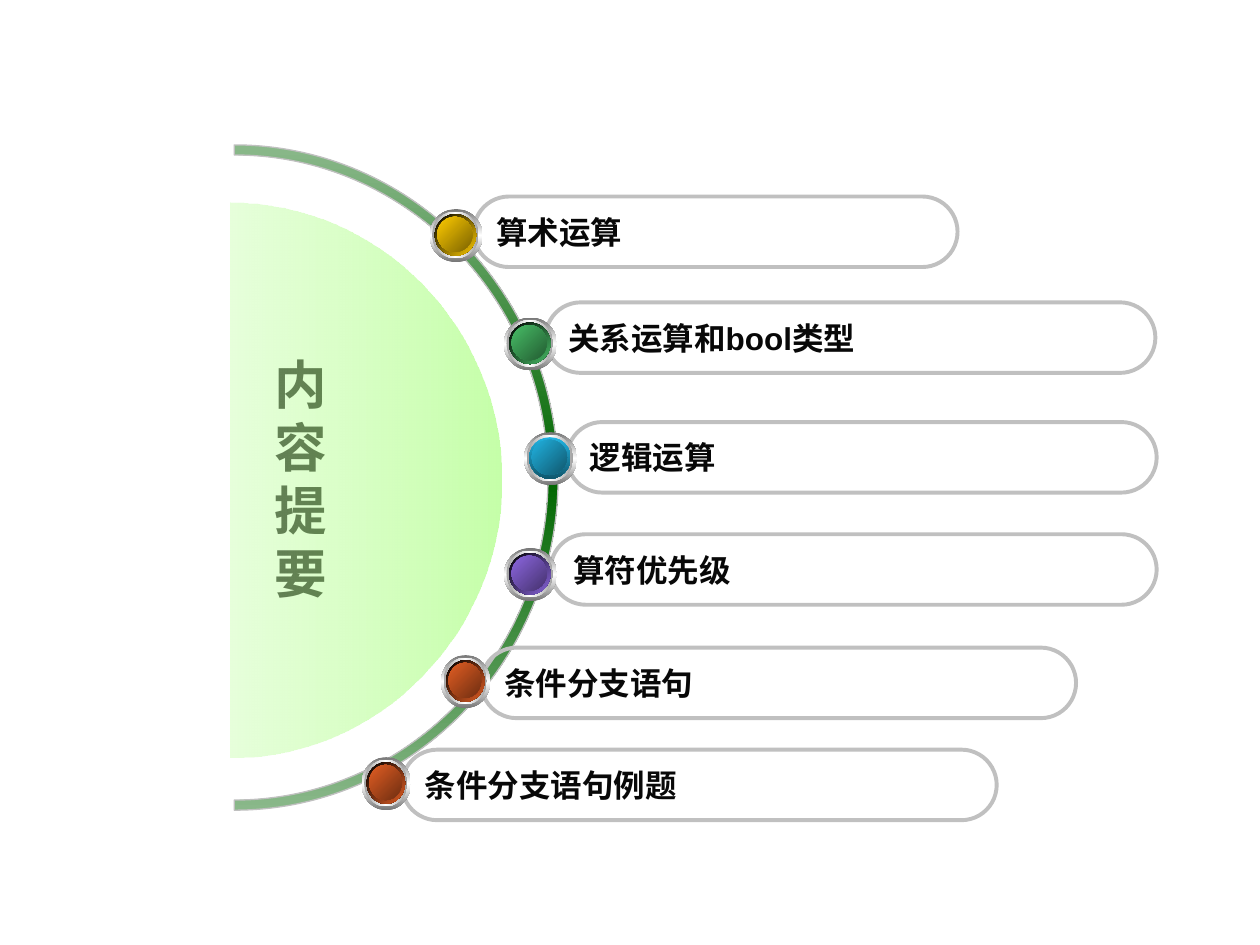
from lxml.etree import SubElement
from pptx import Presentation
from pptx.dml.color import RGBColor
from pptx.enum.shapes import MSO_SHAPE as Shape
from pptx.enum.text import MSO_ANCHOR as Anchor, PP_ALIGN as Align
from pptx.oxml.ns import qn
from pptx.util import Inches, Pt

INK = RGBColor(0x08, 0x08, 0x08)
SILVER = RGBColor(0xC0, 0xC0, 0xC0)
BLACK = RGBColor(0x00, 0x00, 0x00)
WHITE = RGBColor(0xFF, 0xFF, 0xFF)
STEEL = RGBColor(0x76, 0x76, 0x76)
GREY = RGBColor(0xA2, 0xA2, 0xA2)
SAGE = RGBColor(0x8A, 0xB8, 0x8A)
FOREST = RGBColor(0x00, 0x66, 0x00)
MINT = RGBColor(0xCC, 0xFF, 0xB3)
LIME = RGBColor(0x99, 0xFF, 0x66)
YELLOW, DARK_YELLOW = RGBColor(0xFF, 0xCC, 0x00), RGBColor(0x7C, 0x63, 0x00)
GREEN, DARK_GREEN = RGBColor(0x48, 0xBE, 0x67), RGBColor(0x23, 0x5C, 0x32)
CYAN, DARK_CYAN = RGBColor(0x21, 0xB3, 0xE1), RGBColor(0x10, 0x57, 0x6D)
PURPLE, DARK_PURPLE = RGBColor(0x8D, 0x67, 0xE1), RGBColor(0x45, 0x32, 0x6D)
ORANGE, DARK_ORANGE = RGBColor(0xE3, 0x5E, 0x23), RGBColor(0x6E, 0x2E, 0x11)

HEADING = "内容提要"
# Topic, pill (left, top, width), ball (left, top, width), ball colours, rim (colours, angle)
TOPICS = [
    ("算术运算", (3.76, 1.56, 3.84), (3.41, 1.66, 0.42),
     (YELLOW, DARK_YELLOW), ((BLACK, YELLOW), 45)),
    ("关系运算和bool类型", (4.33, 2.4, 4.84), (4, 2.52, 0.42),
     (GREEN, DARK_GREEN), ((BLACK, GREEN), 45)),
    ("逻辑运算", (4.5, 3.35, 4.68), (4.16, 3.43, 0.42),
     (CYAN, DARK_CYAN), ((CYAN, DARK_CYAN), 90)),
    ("算符优先级", (4.37, 4.24, 4.81), (4, 4.35, 0.42),
     (PURPLE, DARK_PURPLE), ((BLACK, PURPLE), 45)),
    ("条件分支语句", (3.82, 5.14, 4.72), (3.5, 5.2, 0.39),
     (ORANGE, DARK_ORANGE), ((BLACK, ORANGE), 45)),
    ("条件分支语句例题", (3.19, 5.95, 4.72), (2.87, 6.01, 0.39),
     (ORANGE, DARK_ORANGE), ((BLACK, ORANGE), 45)),
]
PILL_HEIGHT = 0.56
BALL_HEIGHT = 0.42
BEND = 0.55  # Bezier handle of a quarter ellipse, as a share of its radius


def set_gradient(shape, colors, angle, alphas=None):
    """Spread the colours evenly; the angle runs clockwise, alphas are percents."""
    shape.fill.gradient()
    grad = shape._element.spPr.find(qn("a:gradFill"))
    for child in list(grad):
        grad.remove(child)
    stops = SubElement(grad, qn("a:gsLst"))
    for i, color in enumerate(colors):
        stop = SubElement(stops, qn("a:gs"), pos=str(100000 * i // (len(colors) - 1)))
        rgb = SubElement(stop, qn("a:srgbClr"), val=str(color))
        if alphas:
            SubElement(rgb, qn("a:alpha"), val=str(alphas[i] * 1000))
    SubElement(grad, qn("a:lin"), ang=str(angle * 60000), scaled="0")


def half_ellipse(cx, cy, rx, ry):
    """Start, then two curves of three points each, down the right half."""
    units = [(0, -1), (BEND, -1), (1, -BEND), (1, 0), (1, BEND), (BEND, 1), (0, 1)]
    return [(cx + rx * x, cy + ry * y) for x, y in units]


def add_outline(*arcs):
    """Join arcs of seven points by straight lines and close the outline."""
    points = [(Inches(x), Inches(y)) for arc in arcs for x, y in arc]
    builder = slide.shapes.build_freeform(*points[0])
    builder.add_line_segments(points[1:], close=True)
    outline = builder.convert_to_shape()
    outline.shadow.inherit = False
    # Turn every three points after an arc's start into one curve
    corners = list(outline._element.iter(qn("a:pt")))
    for start in range(0, len(corners), 7):
        for first in (start + 1, start + 4):
            trio = corners[first:first + 3]
            lines = [corner.getparent() for corner in trio]
            curve = lines[0]
            for corner, line in zip(trio[1:], lines[1:]):
                curve.append(corner)
                line.getparent().remove(line)
            curve.tag = qn("a:cubicBezTo")
    return outline


def write(shape, text, font, size, align):
    frame = shape.text_frame
    frame.word_wrap = True
    frame.vertical_anchor = Anchor.MIDDLE
    paragraph = frame.paragraphs[0]
    paragraph.alignment = align
    run = paragraph.add_run()
    run.text = text
    run.font.name, run.font.size, run.font.bold = font, Pt(size), True
    run.font.color.rgb = INK


def add_pill(text, left, top, width):
    pill = slide.shapes.add_shape(Shape.ROUNDED_RECTANGLE, Inches(left), Inches(top),
                                  Inches(width), Inches(PILL_HEIGHT))
    pill.adjustments[0] = 0.5
    pill.shadow.inherit = False
    pill.fill.background()
    pill.line.color.rgb, pill.line.width = SILVER, Pt(2.25)
    write(pill, text, "Arial", 18, Align.LEFT)


def add_ball(left, top, width, colors, rim):
    # Inset from the top left corner, height, colours, angle
    layers = [
        (0, BALL_HEIGHT, (STEEL, WHITE, STEEL), 90),
        (0.02, 0.37, (GREY, WHITE, GREY), 0),
        (0.04, 0.33, *rim),
        (0.06, 0.28, colors, 45),
    ]
    ball = slide.shapes.add_group_shape()
    for inset, height, layer_colors, angle in layers:
        disc = ball.shapes.add_shape(
            Shape.OVAL, Inches(left + inset), Inches(top + inset),
            Inches(height * width / BALL_HEIGHT), Inches(height))
        disc.shadow.inherit = False
        disc.line.fill.background()
        set_gradient(disc, layer_colors, angle)


prs = Presentation()
prs.slide_width, prs.slide_height = Inches(10), Inches(7.5)
slide = prs.slides.add_slide(prs.slide_layouts[6])

# Heading, one character a line, seen through the half disc
heading = slide.shapes.add_textbox(Inches(1.97), Inches(1.59), Inches(0.83), Inches(4.41))
write(heading, HEADING, "Montserrat", 30, Align.CENTER)

# Arc band
outer = half_ellipse(1.86, 3.79, 2.57, 2.64)
inner = half_ellipse(1.86, 3.79, 2.49, 2.56)
band = add_outline(outer, inner[::-1])
set_gradient(band, (SAGE, FOREST, SAGE), 90)
band.line.color.rgb, band.line.width = SILVER, Pt(0.75)

# Half disc
half_disc = add_outline(half_ellipse(1.83, 3.81, 2.15, 2.2))
set_gradient(half_disc, (MINT, LIME), 0, alphas=(48, 56))
half_disc.line.fill.background()

# Topics: pills below, balls on top
for topic, pill_place, *_ in TOPICS:
    add_pill(topic, *pill_place)
for _, _, ball_place, ball_colors, ball_rim in TOPICS:
    add_ball(*ball_place, ball_colors, ball_rim)

prs.save("out.pptx")
